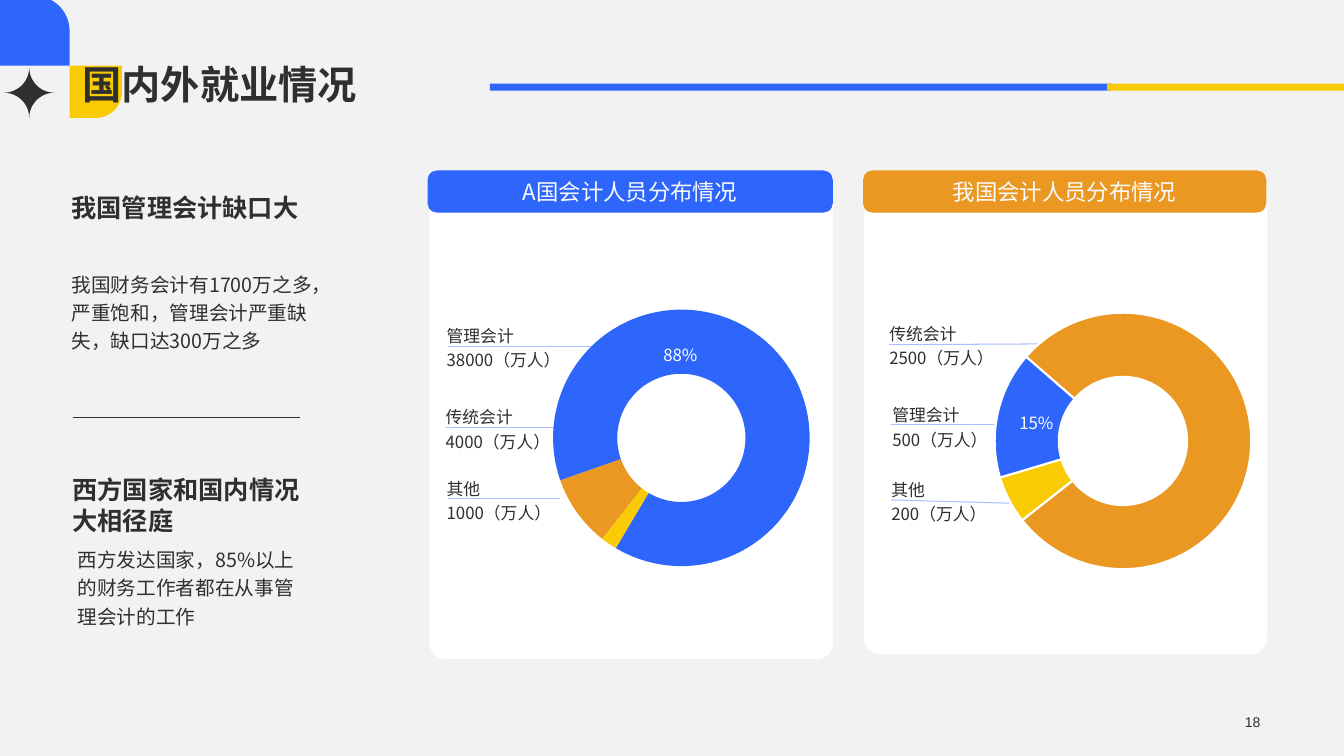
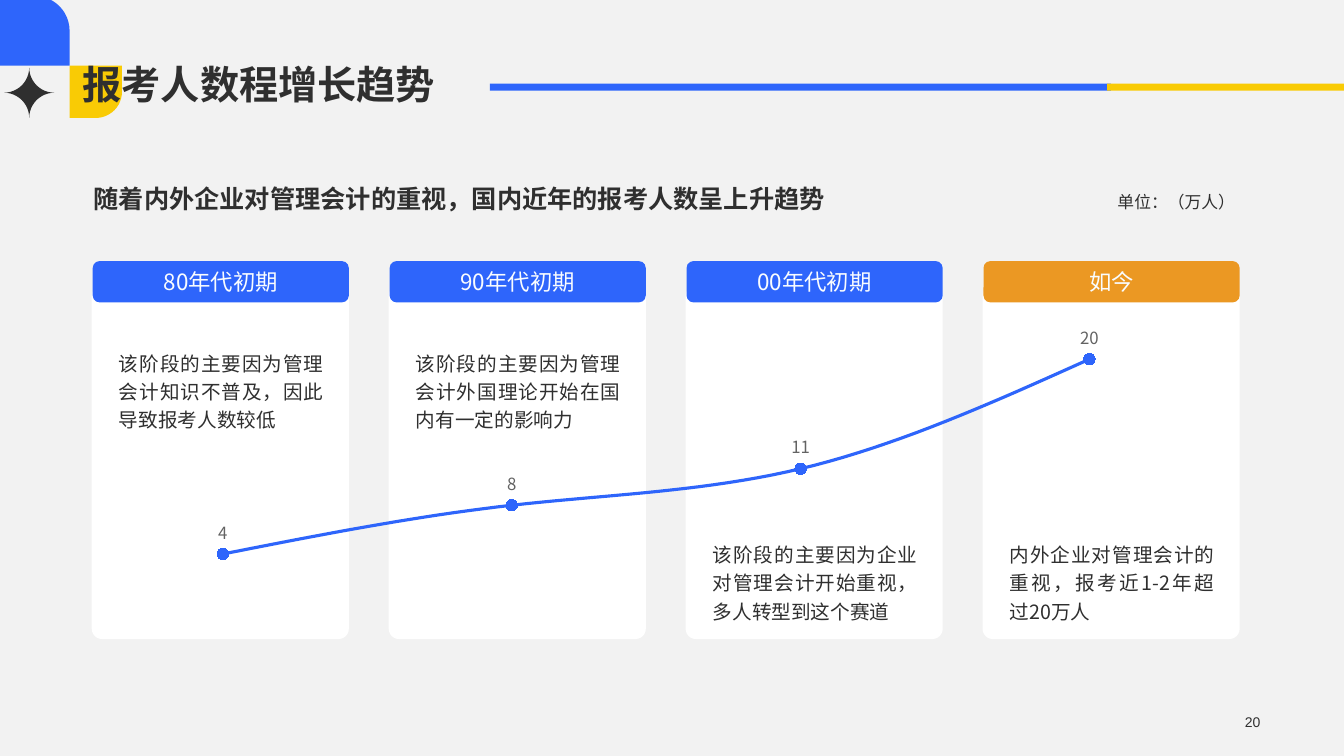
import math

from lxml import etree
from pptx import Presentation
from pptx.chart.data import CategoryChartData
from pptx.dml.color import RGBColor
from pptx.enum import chart as ch, shapes, text
from pptx.oxml import parse_xml
from pptx.oxml.ns import nsdecls, qn
from pptx.util import Inches, Pt

BLUE, YELLOW, ORANGE = "2E65FB", "F9CB05", "EB9823"
INK, WHITE, PALE, LEADER, GREY = "2F2F2F", "FFFFFF", "F9FCFF", "ABC1FD", "636363"
BACKDROP = "F2F2F2"
SANS = "Noto Sans CJK SC"
LEFT, CENTER, RIGHT, JUSTIFY = (text.PP_ALIGN.LEFT, text.PP_ALIGN.CENTER,
                                text.PP_ALIGN.RIGHT, text.PP_ALIGN.JUSTIFY)
TOP, MIDDLE, BOTTOM = (text.MSO_ANCHOR.TOP, text.MSO_ANCHOR.MIDDLE,
                       text.MSO_ANCHOR.BOTTOM)
SHAPE = shapes.MSO_SHAPE
rgb = RGBColor.from_string


def box(slide, at, fill=None, kind=SHAPE.RECTANGLE, adj=None):
    """Add a filled shape, or a text box when no fill is given."""
    at = [Inches(v) for v in at]
    if fill is None:
        return slide.shapes.add_textbox(*at)
    sp = slide.shapes.add_shape(kind, *at)
    if adj is not None:
        sp.adjustments[0] = adj
    sp.fill.solid()
    sp.fill.fore_color.rgb = rgb(fill)
    sp.line.fill.background()
    sp.shadow.inherit = False
    return sp


def write(sp, content, size=14, color=INK, bold=False, font=SANS,
          align=LEFT, anchor=TOP, spacing=1.0):
    tf = sp.text_frame
    tf.word_wrap = True
    tf.auto_size = text.MSO_AUTO_SIZE.NONE
    tf.vertical_anchor = anchor
    tf.margin_left = tf.margin_right = tf.margin_top = tf.margin_bottom = 0
    for i, line in enumerate(content.split("\n")):
        p = tf.add_paragraph() if i else tf.paragraphs[0]
        p.alignment = align
        p.line_spacing = spacing
        r = p.add_run()
        r.text = line
        r.font.size = Pt(size)
        r.font.bold = bold
        r.font.color.rgb = rgb(color)
        r.font.name = font
        ea = etree.SubElement(r.font._element, qn("a:ea"))
        ea.set("typeface", SANS)


prs = Presentation()
prs.slide_width, prs.slide_height = Inches(13.33), Inches(7.5)

# Shared layout: backdrop, title place and decoration
layout = prs.slide_layouts[5]
layout.background.fill.solid()
layout.background.fill.fore_color.rgb = rgb(BACKDROP)
title = layout.placeholders[0]
title.left, title.top = Inches(0.82), Inches(0)
title.width, title.height = Inches(11.68), Inches(1.07)

slides = []
for heading, number in [("国内外就业情况", "18"), ("报考人数程增长趋势", "20")]:
    s = prs.slides.add_slide(layout)
    write(s.shapes.title, heading, size=28, bold=True, font="Arial",
          anchor=BOTTOM, spacing=0.9)
    write(box(s, (9.69, 7.04, 2.81, 0.24)), number, size=10, font="Arial",
          align=RIGHT, anchor=MIDDLE)
    slides.append(s)
jobs, trend = slides

yellow_tab = box(jobs, (0.69, 0.65, 0.52, 0.52), YELLOW, SHAPE.ROUND_1_RECTANGLE, 0.5)
yellow_tab.rotation = 90
blue_tab = box(jobs, (0, -0.04, 0.69, 0.69), BLUE, SHAPE.ROUND_1_RECTANGLE, 0.5)
blue_rule = box(jobs, (4.86, 0.83, 6.16, 0.07), BLUE)
yellow_rule = box(jobs, (10.98, 0.83, 2.35, 0.07), YELLOW)

# Star: four concave quarter circles, each turned by 90 degrees
center, radius, steps = complex(0.29, 0.92), 0.25, 12
outline = []
for turn in range(4):
    for step in range(steps):
        t = math.pi / 2 * step / steps
        pt = center + radius * complex(1 - math.cos(t), math.sin(t) - 1) * 1j ** turn
        outline.append((Inches(pt.real), Inches(pt.imag)))
builder = jobs.shapes.build_freeform(*outline[0])
builder.add_line_segments(outline[1:], close=True)
star = builder.convert_to_shape()
star.fill.solid()
star.fill.fore_color.rgb = rgb(INK)
star.line.fill.background()
star.shadow.inherit = False

for sp in (yellow_tab, blue_tab, star, blue_rule, yellow_rule):
    layout.shapes.element.append(sp.element)

# Employment: text column
for at, content, size, bold, spacing in [
    ((0.71, 1.91, 2.37, 0.3), "我国管理会计缺口大", 18, True, 1.0),
    ((0.71, 2.66, 2.45, 0.82),
     "我国财务会计有1700万之多，严重饱和，管理会计严重缺失，缺口达300万之多",
     14, False, 1.2),
    ((0.72, 4.71, 2.36, 0.61), "西方国家和国内情况大相径庭", 18, True, 1.0),
    ((0.77, 5.39, 2.32, 0.82),
     "西方发达国家，85%以上的财务工作者都在从事管理会计的工作", 14, False, 1.2),
]:
    write(box(jobs, at), content, size=size, bold=bold, spacing=spacing)

# Employment: cards with headers
for card, header, color, content in [
    ((4.26, 1.74, 4, 4.8), (4.24, 1.69, 4.02, 0.42), BLUE, "A国会计人员分布情况"),
    ((8.57, 1.73, 4, 4.76), (8.56, 1.69, 4, 0.42), ORANGE, "我国会计人员分布情况"),
]:
    box(jobs, card, WHITE, SHAPE.ROUNDED_RECTANGLE, 0.04)
    write(box(jobs, header, color, SHAPE.ROUNDED_RECTANGLE, 0.23), content,
          size=16, color=PALE, align=CENTER, anchor=MIDDLE)

# Divider and leader lines
for x1, y1, x2, y2, color, width in [
    (0.72, 4.14, 2.98, 4.14, INK, 0.5),
    (4.44, 3.44, 6.22, 3.44, LEADER, 0.75),
    (4.42, 4.24, 5.88, 4.24, LEADER, 0.75),
    (4.44, 4.95, 5.55, 4.95, LEADER, 0.75),
    (8.82, 3.42, 10.7, 3.41, LEADER, 0.75),
    (8.84, 4.21, 9.95, 4.21, LEADER, 0.75),
    (8.84, 4.96, 10.31, 5, LEADER, 0.75),
]:
    line = jobs.shapes.add_connector(shapes.MSO_CONNECTOR.STRAIGHT, Inches(x1),
                                     Inches(y1), Inches(x2), Inches(y2))
    line.line.color.rgb = rgb(color)
    line.line.width = Pt(width)
    etree.SubElement(line.element.spPr, qn("a:effectLst"))

# Employment: doughnuts, their labels and the share of management accounting
charts = []
for at, values, colors, start, gap, labels, share_at, share in [
    ((5.32, 1.88, 2.85, 4.93), (9, 88, 2), (ORANGE, BLUE, YELLOW), 218, False,
     [(4.43, 3.19, "管理会计\n38000（万人）"), (4.42, 4, "传统会计\n4000（万人）"),
      (4.43, 4.71, "其他\n1000（万人）")], (6.58, 3.38, 0.5, 0.22), "88%"),
    ((9.7, 2, 2.85, 4.75), (78, 6, 16), (ORANGE, YELLOW, BLUE), 311, True,
     [(8.82, 3.17, "传统会计\n2500（万人）"), (8.85, 3.98, "管理会计\n500（万人）"),
      (8.84, 4.72, "其他\n200（万人）")], (10.11, 4.05, 0.5, 0.22), "15%"),
]:
    data = CategoryChartData()
    data.categories = ["1", "2", "3"]
    data.add_series("Series 1", values)
    chart = jobs.shapes.add_chart(ch.XL_CHART_TYPE.DOUGHNUT,
                                  *[Inches(v) for v in at], data).chart
    for i, color in enumerate(colors):
        fmt = chart.series[0].points[i].format
        fmt.fill.solid()
        fmt.fill.fore_color.rgb = rgb(color)
        if gap:
            fmt.line.color.rgb = rgb(WHITE)
            fmt.line.width = Pt(1.5)
        else:
            fmt.line.fill.background()
    for tag, value in (("c:firstSliceAng", start), ("c:holeSize", 50)):
        chart.element.find(".//" + qn(tag)).set("val", str(value))
    charts.append((chart, (0.058, 0.205, 0.893, 0.59)))
    for x, y, content in labels:
        write(box(jobs, (x, y, 1.21, 0.46)), content, size=12, spacing=1.2)
    write(box(jobs, share_at), share, size=12, color=WHITE, spacing=1.2)

# Trend: heading, unit and one card per period
write(box(trend, (0.93, 1.82, 9.91, 0.3)),
      "随着内外企业对管理会计的重视，国内近年的报考人数呈上升趋势", size=18, bold=True)
write(box(trend, (11.03, 1.86, 1.22, 0.22)), "单位：（万人）", size=12,
      align=RIGHT, spacing=1.2)
for i, (period, color, note_top, note) in enumerate([
    ("80年代初期", BLUE, 3.44, "该阶段的主要因为管理会计知识不普及，因此导致报考人数较低"),
    ("90年代初期", BLUE, 3.44, "该阶段的主要因为管理会计外国理论开始在国内有一定的影响力"),
    ("00年代初期", BLUE, 5.34, "该阶段的主要因为企业对管理会计开始重视，多人转型到这个赛道"),
    ("如今", ORANGE, 5.34, "内外企业对管理会计的重视，报考近1-2年超过20万人"),
]):
    x = 0.91 + 2.945 * i
    box(trend, (x, 2.83, 2.55, 3.51), WHITE, SHAPE.ROUNDED_RECTANGLE, 0.04)
    write(box(trend, (x + 0.01, 2.59, 2.54, 0.41), color, SHAPE.ROUNDED_RECTANGLE),
          period, size=16, color=PALE, align=CENTER, anchor=MIDDLE)
    write(box(trend, (x + 0.27, note_top, 2.03, 0.82)), note, align=JUSTIFY,
          spacing=1.2)

# Trend: smooth line over the cards
data = CategoryChartData()
data.categories = ["1", "2", "3", "4"]
data.add_series("Series 1", (4, 8, 11, 20))
chart = trend.shapes.add_chart(ch.XL_CHART_TYPE.LINE_MARKERS, Inches(0.72), Inches(2.7),
                               Inches(11.6), Inches(3.29), data).chart
chart.category_axis.visible = chart.value_axis.visible = False
chart.value_axis.has_major_gridlines = False
chart.value_axis.minimum_scale, chart.value_axis.maximum_scale = 0, 25
chart.plots[0].vary_by_categories = False
series = chart.series[0]
series.smooth = True
series.format.line.color.rgb = rgb(BLUE)
series.format.line.width = Pt(2.25)
series.marker.style = ch.XL_MARKER_STYLE.CIRCLE
series.marker.size = 8
series.marker.format.fill.solid()
series.marker.format.fill.fore_color.rgb = rgb(BLUE)
series.marker.format.line.color.rgb = rgb(BLUE)
labels = series.data_labels
labels.show_value = True
labels.position = ch.XL_LABEL_POSITION.ABOVE
labels.font.size = Pt(12)
labels.font.name = SANS
labels.font.color.rgb = rgb(GREY)
charts.append((chart, (0.005, 0.079, 0.988, 0.918)))

# All charts: font, clear background and fixed plot area
for chart, plot in charts:
    chart.has_legend = chart.has_title = False
    chart.font.size = Pt(10)
    chart.font.name = "Arial"
    chart.font.color.rgb = rgb(INK)
    chart.element.find(qn("c:chart")).addnext(
        parse_xml(f"<c:spPr {nsdecls('c', 'a')}><a:noFill/><a:ln><a:noFill/></a:ln></c:spPr>"))
    area = chart.element.find(".//" + qn("c:plotArea"))
    for old in area.findall(qn("c:layout")):
        area.remove(old)
    sizes = "".join(f'<c:{tag} val="{v}"/>' for tag, v in zip("xywh", plot))
    area.insert(0, parse_xml(
        f'<c:layout {nsdecls("c")}><c:manualLayout><c:layoutTarget val="inner"/>'
        f'<c:xMode val="edge"/><c:yMode val="edge"/>{sizes}</c:manualLayout></c:layout>'))

prs.save("out.pptx")
